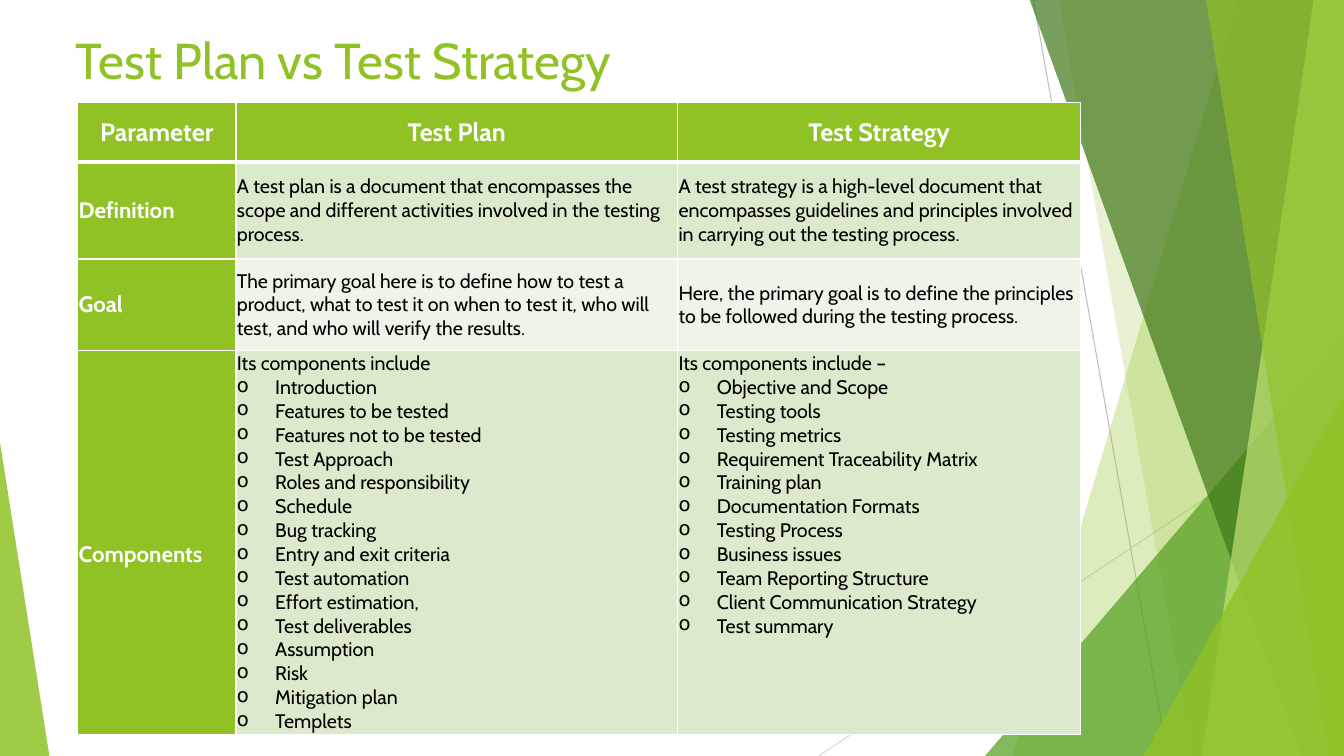
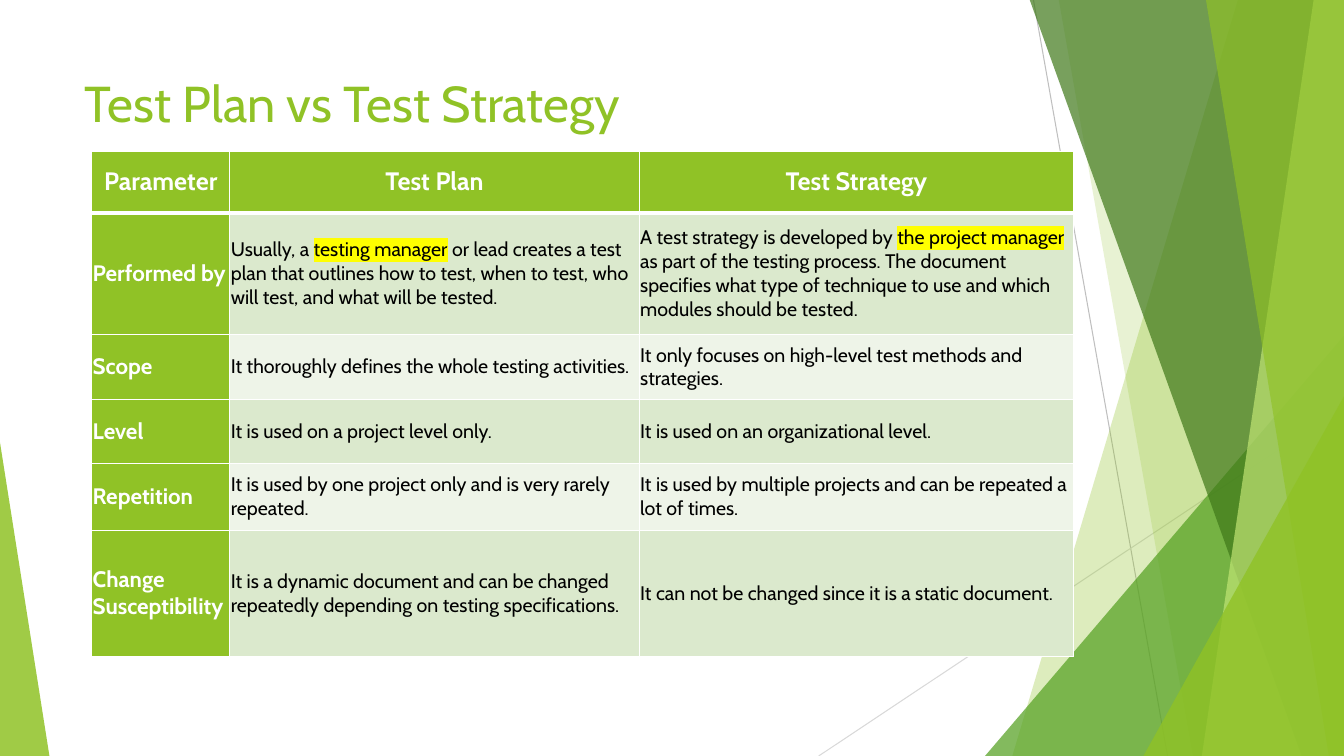
from lxml import etree
from pptx import Presentation
from pptx.dml.color import RGBColor
from pptx.enum.shapes import MSO_CONNECTOR, MSO_SHAPE
from pptx.enum.text import MSO_ANCHOR, MSO_AUTO_SIZE, PP_ALIGN
from pptx.oxml.ns import qn
from pptx.util import Inches, Pt

STRAIGHT = MSO_CONNECTOR.STRAIGHT
TRIANGLE = MSO_SHAPE.ISOSCELES_TRIANGLE
TOP, MIDDLE = MSO_ANCHOR.TOP, MSO_ANCHOR.MIDDLE
LEFT, CENTER = PP_ALIGN.LEFT, PP_ALIGN.CENTER

FONT = "Cabin"
LIME = RGBColor(0x90, 0xC2, 0x26)
GREEN = RGBColor(0x54, 0xA0, 0x21)
DARK_GREEN = RGBColor(0x3F, 0x78, 0x19)
PALE_LIME = RGBColor(0xC0, 0xE4, 0x74)
BAND_DARK = RGBColor(0xDB, 0xE9, 0xCD)
BAND_LIGHT = RGBColor(0xEE, 0xF4, 0xE8)
GRAY = RGBColor(0xBF, 0xBF, 0xBF)
LIGHT_GRAY = RGBColor(0xD9, 0xD9, 0xD9)
WHITE = RGBColor(0xFF, 0xFF, 0xFF)
BLACK = RGBColor(0x00, 0x00, 0x00)
YELLOW = RGBColor(0xFF, 0xFF, 0x00)

WIDTH, HEIGHT = 13.33, 7.5
TITLE = "Test Plan vs Test Strategy"
HEADER = ("Parameter", "Test Plan", "Test Strategy")

# Lines after the first become bullets; text between bars is highlighted.
PLAN_COMPONENTS = "\n".join([
    "Its components include", "Introduction", "Features to be tested",
    "Features not to be tested", "Test Approach", "Roles and responsibility",
    "Schedule", "Bug tracking", "Entry and exit criteria", "Test automation",
    "Effort estimation,", "Test deliverables", "Assumption", "Risk",
    "Mitigation plan", "Templets"])
STRATEGY_COMPONENTS = "\n".join([
    "Its components include –", "Objective and Scope", "Testing tools",
    "Testing metrics", "Requirement Traceability Matrix", "Training plan",
    "Documentation Formats", "Testing Process", "Business issues",
    "Team Reporting Structure", "Client Communication Strategy", "Test summary"])

# Title position, table position, column widths, row heights, body rows
COMPARISONS = [
    ((0.65, 0.24), (0.77, 1.02), (1.57, 4.38, 4), (0.59, 0.96, 0.91, 3.8), [
        ("Definition",
         "A test plan is a document that encompasses the scope and different "
         "activities involved in the testing process.",
         "A test strategy is a high-level document that encompasses guidelines "
         "and principles involved in carrying out the testing process."),
        ("Goal",
         "The primary goal here is to define how to test a product, what to test "
         "it on when to test it, who will test, and who will verify the results.",
         "Here, the primary goal is to define the principles to be followed "
         "during the testing process."),
        ("Components", PLAN_COMPONENTS, STRATEGY_COMPONENTS),
    ]),
    ((0.74, 0.67), (0.91, 1.5), (1.37, 4.06, 4.31), (0.61, 1.21, 0.64, 0.64, 0.66, 1.25), [
        ("Performed by",
         "Usually, a |testing manager| or lead creates a test plan that outlines "
         "how to test, when to test, who will test, and what will be tested.",
         "A test strategy is developed by |the project manager| as part of the "
         "testing process. The document specifies what type of technique to use "
         "and which modules should be tested."),
        ("Scope",
         "It thoroughly defines the whole testing activities.",
         "It only focuses on high-level test methods and strategies."),
        ("Level",
         "It is used on a project level only.",
         "It is used on an organizational level."),
        ("Repetition",
         "It is used by one project only and is very rarely repeated.",
         "It is used by multiple projects and can be repeated a lot of times."),
        ("Change Susceptibility",
         "It is a dynamic document and can be changed repeatedly depending on "
         "testing specifications.",
         "It can not be changed since it is a static document."),
    ]),
]

# Facets from back to front: a band is (top x, bottom x), reaching the right edge;
# a triangle is (left, top, width, apex), reaching the bottom edge.
FACETS = [
    ((12.28, 10.04), LIME, 30),
    ((10.5, 11.83), LIME, 20),
    ((9.77, 3.33, 3.56, 1), GREEN, 72),
    ((10.21, 12.91), DARK_GREEN, 70),
    ((13.03, 11.92), PALE_LIME, 70),
    ((11.96, 13.18), LIME, 65),
    ((11.34, 3.93, 1.99, 1), LIME, 80),
    ((0, 4.39, 0.49, 0), LIME, 85),
]


def add_color(parent, tag, color, opacity=100):
    """Append a colour element such as a:solidFill or a:highlight to parent."""
    holder = etree.SubElement(parent, qn(tag))
    rgb = etree.SubElement(holder, qn("a:srgbClr"), val=str(color))
    if opacity < 100:
        etree.SubElement(rgb, qn("a:alpha"), val=str(opacity * 1000))


def write_cell(cell, text, size, color, bold, alignment):
    frame = cell.text_frame
    for line_number, line in enumerate(text.split("\n")):
        paragraph = frame.add_paragraph() if line_number else frame.paragraphs[0]
        paragraph.alignment = alignment
        if line_number:
            properties = paragraph._p.get_or_add_pPr()
            properties.set("marL", str(Inches(0.38)))
            properties.set("indent", str(-Inches(0.38)))
            etree.SubElement(properties, qn("a:buChar"), char="o")
        for part_number, part in enumerate(line.split("|")):
            run = paragraph.add_run()
            run.text = part
            run.font.size = Pt(size)
            run.font.bold = bold
            run.font.color.rgb = color
            if part_number % 2:
                add_color(run._r.get_or_add_rPr(), "a:highlight", YELLOW)
            run.font.name = FONT


presentation = Presentation()
presentation.slide_width = Inches(WIDTH)
presentation.slide_height = Inches(HEIGHT)
layout = presentation.slide_layouts[5]
slides = [presentation.slides.add_slide(layout) for _ in COMPARISONS]

# Background facets, grouped and moved into the shared layout
group = slides[0].shapes.add_group_shape()
for start_x, start_y, end_x, end_y, color in [
        (10.25, 0, 11.58, HEIGHT, GRAY), (WIDTH, 4.03, 8.12, HEIGHT, LIGHT_GRAY)]:
    line = group.shapes.add_connector(
        STRAIGHT, Inches(start_x), Inches(start_y), Inches(end_x), Inches(end_y))
    line.line.color.rgb = color
    line.line.width = Pt(0.75)
    etree.SubElement(line.element.spPr, qn("a:effectLst"))

for geometry, color, opacity in FACETS:
    if len(geometry) == 2:
        top_x, bottom_x = geometry
        builder = group.shapes.build_freeform(Inches(top_x), Inches(-0.01))
        builder.add_line_segments([
            (Inches(x), Inches(y))
            for x, y in [(WIDTH, -0.01), (WIDTH, HEIGHT), (bottom_x, HEIGHT)]])
        facet = builder.convert_to_shape()
    else:
        left, top, width, apex = geometry
        facet = group.shapes.add_shape(
            TRIANGLE, Inches(left), Inches(top), Inches(width), Inches(HEIGHT - top))
        facet.adjustments[0] = apex
    add_color(facet.element.spPr, "a:solidFill", color, opacity)
    facet.line.fill.background()
    facet.shadow.inherit = False

for shape_id, properties in enumerate(group.element.xpath(".//p:cNvPr"), start=100):
    properties.set("id", str(shape_id))
layout.shapes.element.insert(2, group.element)

tables = []
for slide, (title_at, table_at, widths, heights, body) in zip(slides, COMPARISONS):
    title = slide.shapes.title
    title.left, title.top = (Inches(value) for value in title_at)
    title.width, title.height = Inches(9.4), Inches(0.83)
    title.text_frame.word_wrap = True
    title.text_frame.auto_size = MSO_AUTO_SIZE.NONE
    title.text_frame.vertical_anchor = TOP
    paragraph = title.text_frame.paragraphs[0]
    paragraph.alignment = LEFT
    run = paragraph.add_run()
    run.text = TITLE
    run.font.size = Pt(36)
    run.font.name = FONT
    run.font.color.rgb = LIME

    left, top = table_at
    table = slide.shapes.add_table(
        len(heights), len(widths), Inches(left), Inches(top),
        Inches(sum(widths)), Inches(sum(heights))).table
    tables.append(table)
    for column, width in zip(table.columns, widths):
        column.width = Inches(width)
    for row, height in zip(table.rows, heights):
        row.height = Inches(height)

    for row_number, texts in enumerate([HEADER, *body]):
        for column_number, text in enumerate(texts):
            cell = table.cell(row_number, column_number)
            cell.margin_left = cell.margin_right = Inches(0.01)
            cell.margin_top = cell.margin_bottom = Inches(0.01)
            cell.vertical_anchor = TOP if "\n" in text else MIDDLE
            if row_number == 0:
                fill = LIME
                write_cell(cell, text, 18, WHITE, True, CENTER)
            elif column_number == 0:
                fill = LIME
                write_cell(cell, text, 16, WHITE, True, LEFT)
            else:
                fill = BAND_DARK if row_number % 2 else BAND_LIGHT
                write_cell(cell, text, 14, BLACK, False, LEFT)
            cell_properties = cell._tc.get_or_add_tcPr()
            for side in ("L", "R", "T", "B"):
                under_header = (row_number, side) in [(0, "B"), (1, "T")]
                border = etree.SubElement(
                    cell_properties, qn(f"a:ln{side}"),
                    w=str(Pt(3 if under_header else 1)))
                add_color(border, "a:solidFill", WHITE)
            cell.fill.solid()
            cell.fill.fore_color.rgb = fill

# The Components label sits slightly below the middle of its row
tables[0].cell(3, 0).margin_top = Inches(0.25)

presentation.save("out.pptx")
